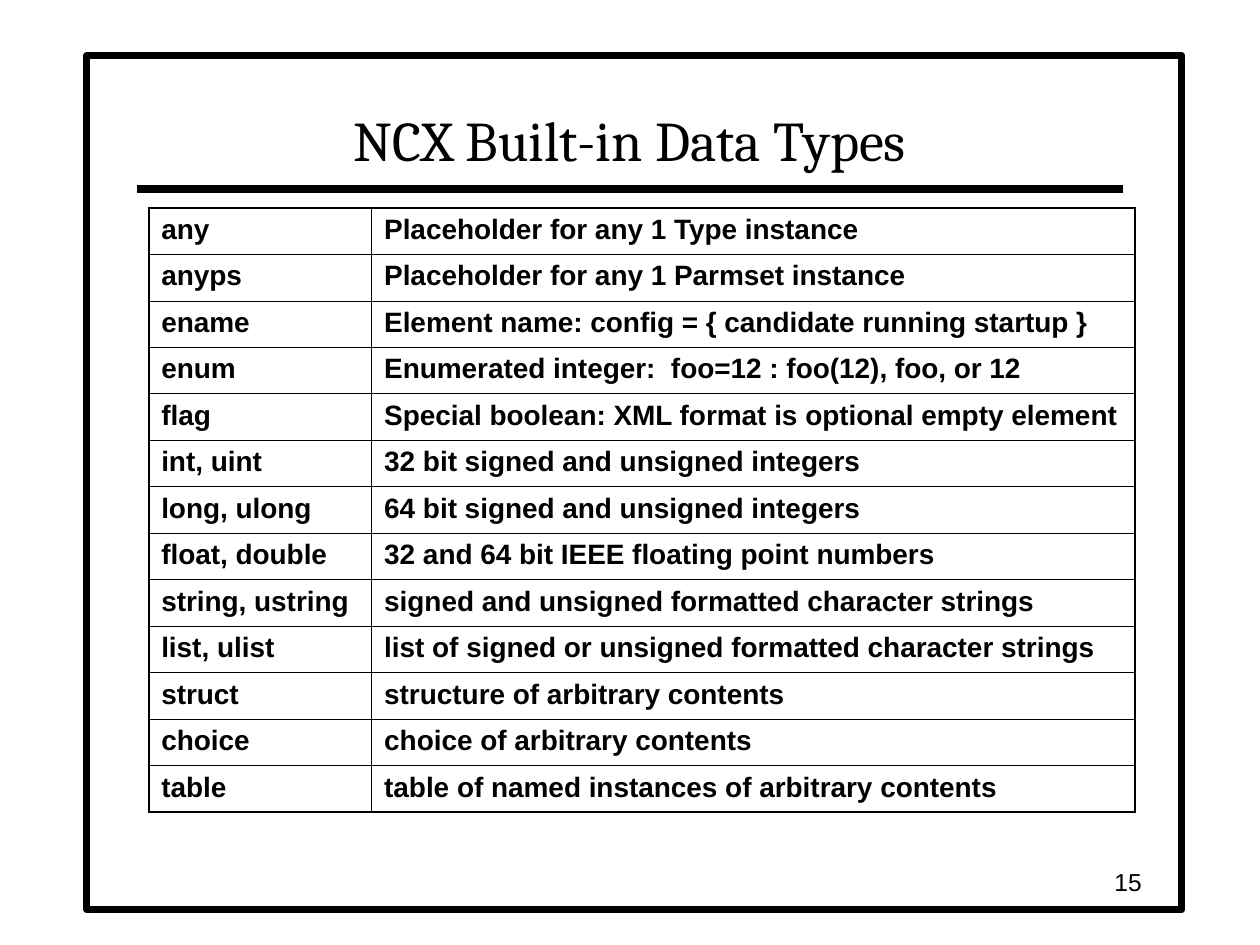
from pptx import Presentation
from pptx import util as u
from pptx.dml.color import RGBColor
from pptx.enum import shapes, text
from pptx.oxml.ns import qn
from lxml import etree

BLACK = RGBColor(0, 0, 0)
WHITE = RGBColor(255, 255, 255)
WIDE, HIGH = u.Inches(10), u.Inches(7.5)
THICK, THIN = 1.08, 0.45
TYPES = [
    ("any", "Placeholder for any 1 Type instance"),
    ("anyps", "Placeholder for any 1 Parmset instance"),
    ("ename", "Element name: config = { candidate running startup }"),
    ("enum", "Enumerated integer:  foo=12 : foo(12), foo, or 12"),
    ("flag", "Special boolean: XML format is optional empty element"),
    ("int, uint", "32 bit signed and unsigned integers"),
    ("long, ulong", "64 bit signed and unsigned integers"),
    ("float, double", "32 and 64 bit IEEE floating point numbers"),
    ("string, ustring", "signed and unsigned formatted character strings"),
    ("list, ulist", "list of signed or unsigned formatted character strings"),
    ("struct", "structure of arbitrary contents"),
    ("choice", "choice of arbitrary contents"),
    ("table", "table of named instances of arbitrary contents"),
]


def share(left, top, width, height):
    return (round(WIDE * left / 100), round(HIGH * top / 100),
            round(WIDE * width / 100), round(HIGH * height / 100))


def write(body, words, size, face="Arial", bold=False, align=text.PP_ALIGN.LEFT):
    para = body.paragraphs[0]
    para.alignment = align
    run = para.add_run()
    run.text = words
    font = run.font
    font.name, font.size, font.bold = face, u.Pt(size), bold
    font.color.rgb = BLACK


def draw_frame(slide, box):
    frame = slide.shapes.add_shape(shapes.MSO_SHAPE.RECTANGLE, *box)
    frame.shadow.inherit = False
    frame.fill.solid()
    frame.fill.fore_color.rgb = WHITE
    frame.line.color.rgb = BLACK
    frame.line.width = u.Pt(4)


def draw_head(slide, box):
    left, top, width, height = box
    rule = slide.shapes.add_connector(
        shapes.MSO_CONNECTOR.STRAIGHT, left, top + height, left + width, top + height)
    rule.line.color.rgb = BLACK
    rule.line.width = u.Pt(4.5)
    etree.SubElement(rule.element.spPr, qn("a:effectLst"))

    title = slide.shapes.title
    title.element.getparent().append(title.element)
    title.left, title.top = left, top
    title.width, title.height = width, round(height * 0.92)
    body = title.text_frame
    body.word_wrap = True
    body.auto_size = text.MSO_AUTO_SIZE.NONE
    body.vertical_anchor = text.MSO_ANCHOR.BOTTOM
    write(body, "NCX Built-in Data Types", 32, "Cambria", align=text.PP_ALIGN.CENTER)


def edge(cell, side, width):
    props = cell._tc.get_or_add_tcPr()
    line = etree.SubElement(props, qn("a:ln" + side), w=str(u.Pt(width)))
    fill = etree.SubElement(line, qn("a:solidFill"))
    etree.SubElement(fill, qn("a:srgbClr"), val=str(BLACK))


def draw_types(slide, box):
    rows = len(TYPES)
    left, top, width, height = box
    grid = slide.shapes.add_table(rows, 2, *box).table
    grid.first_row = grid.horz_banding = False
    grid.columns[0].width = round(width * 0.226)
    grid.columns[1].width = width - grid.columns[0].width
    for r, pair in enumerate(TYPES):
        grid.rows[r].height = height // rows
        for c, words in enumerate(pair):
            cell = grid.cell(r, c)
            outer = {"L": c == 0, "R": c == 1, "T": r == 0, "B": r == rows - 1}
            for side, rim in outer.items():
                edge(cell, side, THICK if rim else THIN)
            cell.fill.background()
            write(cell.text_frame, words, 16, bold=True)


def draw_page(slide, box):
    body = slide.shapes.add_textbox(*box).text_frame
    body.word_wrap = True
    body.vertical_anchor = text.MSO_ANCHOR.MIDDLE
    write(body, "15", 14, align=text.PP_ALIGN.RIGHT)


def main():
    deck = Presentation()
    deck.slide_width, deck.slide_height = WIDE, HIGH
    slide = deck.slides.add_slide(deck.slide_layouts[5])
    draw_frame(slide, share(6.9, 5.87, 86.9, 90.4))
    draw_head(slide, share(10.85, 6.67, 78.3, 13.33))
    draw_types(slide, share(11.8, 22, 78.3, 64))
    draw_page(slide, share(70.8, 91.07, 20.8, 4.4))
    deck.save("out.pptx")


if __name__ == "__main__":
    main()
